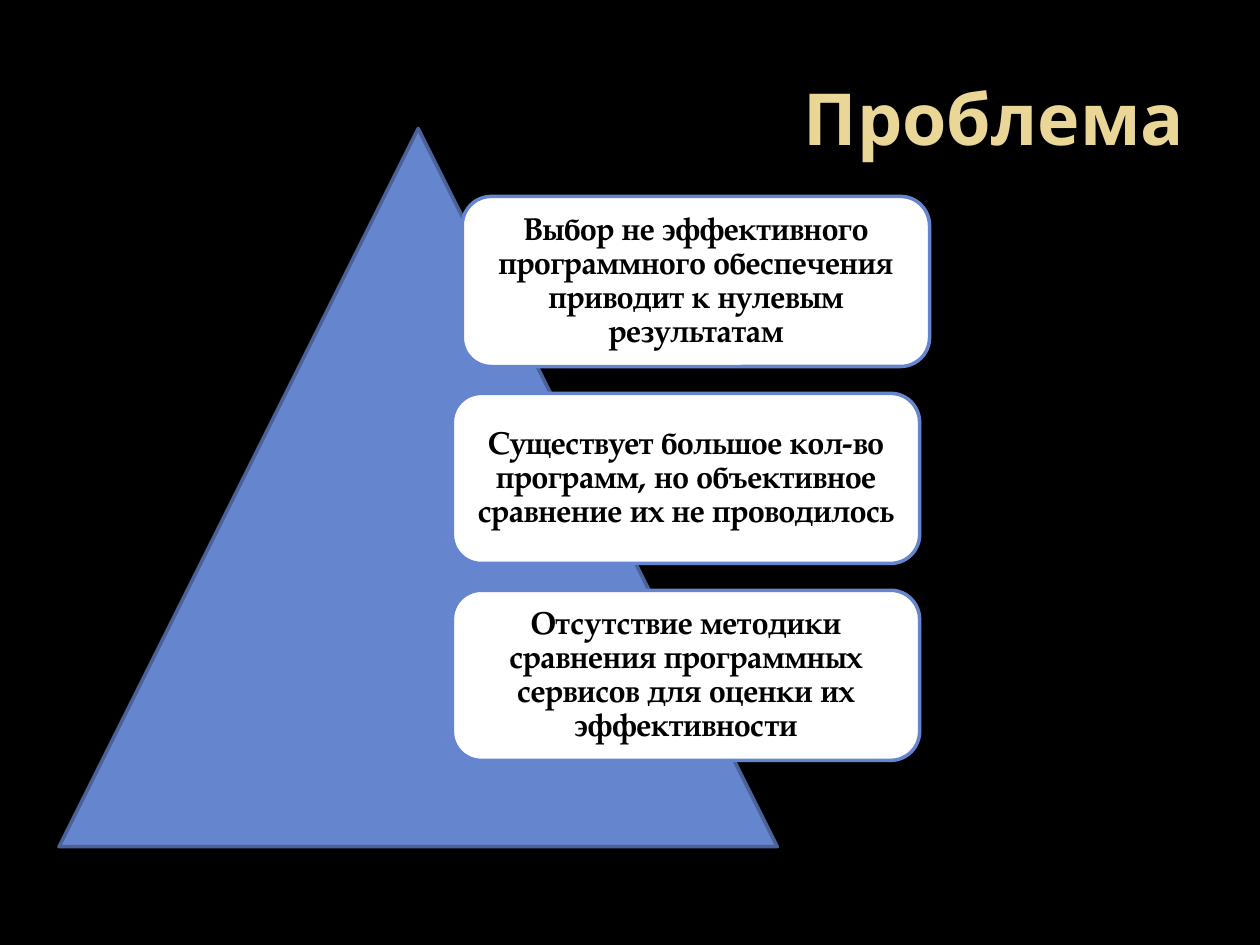
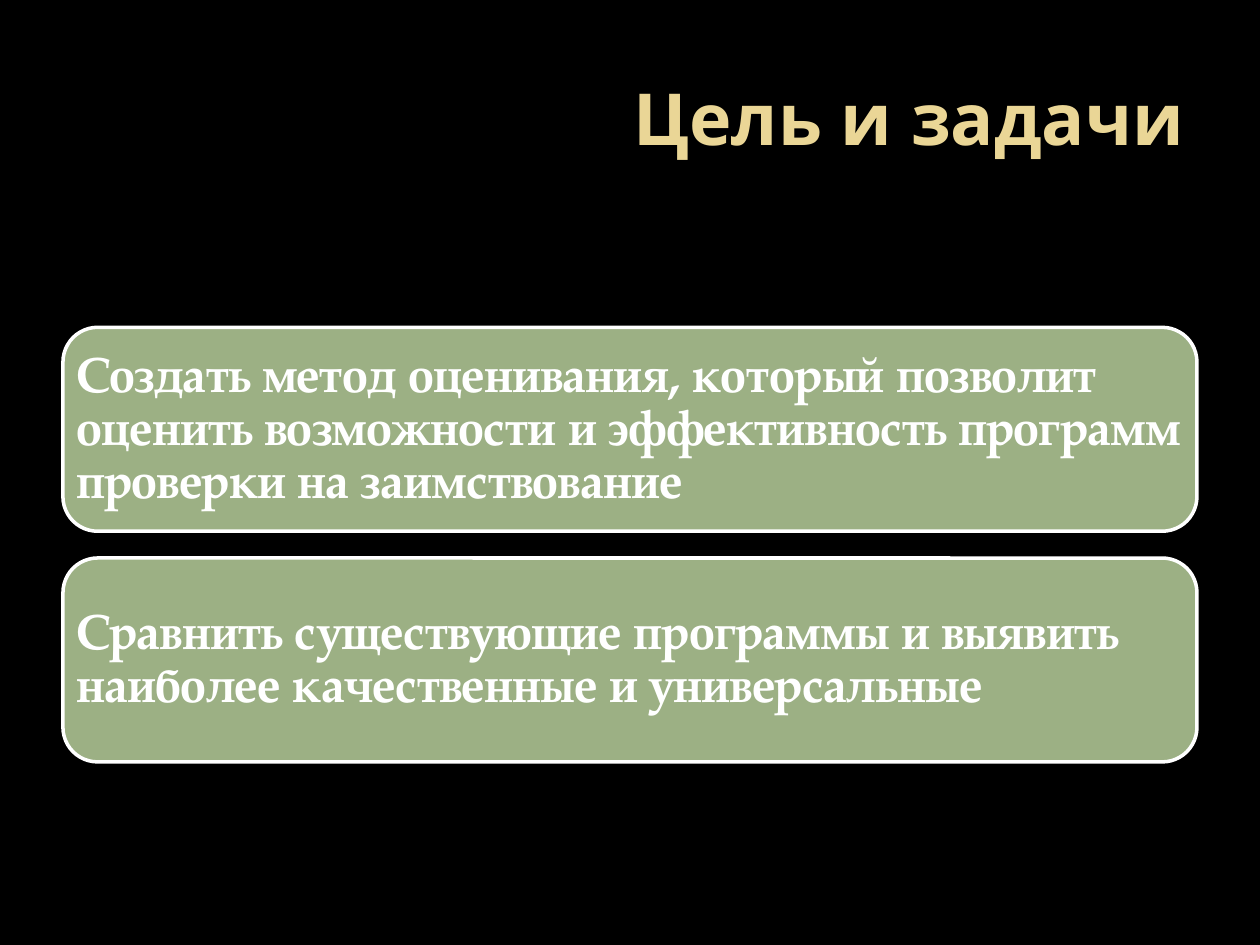
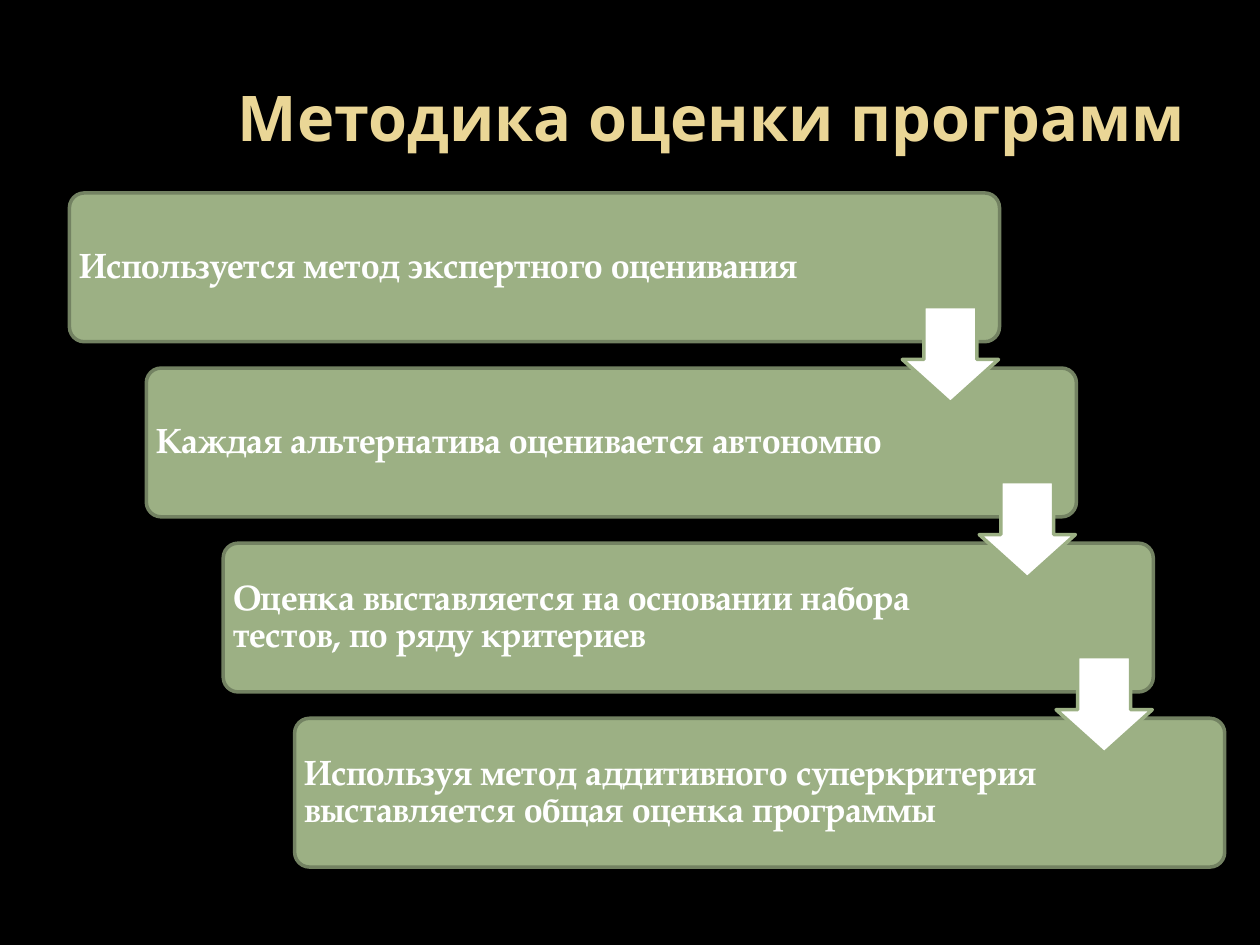
from pptx import Presentation
from pptx.dml.color import RGBColor
from pptx.enum.shapes import MSO_SHAPE
from pptx.enum.text import MSO_ANCHOR, PP_ALIGN
from pptx.util import Cm, Pt

COLORS = {
    "background": "000000",
    "title": "EAD696",
    "blue": "6585CF",
    "blue_edge": "4B6299",
    "green": "9CB084",
    "green_edge": "738262",
    "white": "FFFFFF",
    "black": "000000",
}
TITLE_FONT = "Noto Sans"
BODY_FONT = "TeX Gyre Pagella"
CORNER_INSET = 0.29


def rgb(name):
    return RGBColor.from_string(COLORS[name])


class Deck:
    def __init__(self):
        self.presentation = Presentation()
        self.presentation.slide_width = Cm(25.4)
        self.presentation.slide_height = Cm(19.05)
        self.slide = None

    def new_slide(self, title, size=41):
        self.slide = self.presentation.slides.add_slide(self.presentation.slide_layouts[6])
        background = self.slide.background.fill
        background.solid()
        background.fore_color.rgb = rgb("background")
        heading = self.slide.shapes.add_textbox(Cm(1.27), Cm(0.76), Cm(22.86), Cm(3.18))
        self.add_text(heading.text_frame, title, TITLE_FONT, size, "title", PP_ALIGN.RIGHT)

    def add_text(self, frame, text, font, size, color, align):
        frame.word_wrap = True
        frame.vertical_anchor = MSO_ANCHOR.MIDDLE
        paragraph = frame.paragraphs[0]
        paragraph.alignment = align
        run = paragraph.add_run()
        run.text = text
        run.font.name = font
        run.font.size = Pt(size)
        run.font.bold = True
        run.font.color.rgb = rgb(color)
        return paragraph

    def figure(self, kind, left, top, width, height, fill, edge, adjustments=()):
        figure = self.slide.shapes.add_shape(kind, Cm(left), Cm(top), Cm(width), Cm(height))
        figure.shadow.inherit = False
        figure.fill.solid()
        figure.fill.fore_color.rgb = rgb(fill)
        figure.line.color.rgb = rgb(edge)
        figure.line.width = Pt(2)
        for index, value in enumerate(adjustments):
            figure.adjustments[index] = value
        return figure

    def card(self, text, left, top, width, height, fill, edge, size, color, inset,
             align=PP_ALIGN.LEFT, corner=0.17, reserve=0):
        card = self.figure(MSO_SHAPE.ROUNDED_RECTANGLE, left, top, width, height,
                           fill, edge, [corner])
        frame = card.text_frame
        margin = max(inset - CORNER_INSET * corner * height, 0)
        frame.margin_left = frame.margin_top = frame.margin_bottom = Cm(margin)
        frame.margin_right = Cm(margin + reserve)
        self.add_text(frame, text, BODY_FONT, size, color, align).line_spacing = 0.9

    def save(self):
        self.presentation.save("out.pptx")


def problem(deck):
    deck.new_slide("Проблема")
    deck.figure(MSO_SHAPE.ISOSCELES_TRIANGLE, 1.19, 2.59, 14.48, 14.48, "blue", "blue_edge")
    issues = [
        (9.32, "Выбор не эффективного программного обеспечения приводит к нулевым результатам"),
        (9.12, "Существует большое кол-во программ, но объективное сравнение их не проводилось"),
        (9.12, "Отсутствие методики сравнения программных сервисов для оценки их эффективности"),
    ]
    for row, (left, issue) in enumerate(issues):
        deck.card(issue, left, 3.96 + 3.97 * row, 9.42, 3.43, "white", "blue",
                  18, "black", 0.18, align=PP_ALIGN.CENTER)


def goals(deck):
    deck.new_slide("Цель и задачи")
    tasks = [
        "Создать метод оценивания, который позволит оценить возможности и "
        "эффективность программ проверки на заимствование",
        "Сравнить существующие программы и выявить наиболее качественные и универсальные",
    ]
    for row, task in enumerate(tasks):
        deck.card(task, 1.27, 6.6 + 4.65 * row, 22.86, 4.11, "green", "white",
                  28, "white", 0.27)


def method(deck):
    deck.new_slide("Методика оценки программ", 36)
    steps = [
        (1.4, "Используется метод экспертного оценивания"),
        (2.95, "Каждая альтернатива оценивается автономно"),
        (4.5, "Оценка выставляется на основании набора тестов, по ряду критериев"),
        (5.94, "Используя метод аддитивного суперкритерия выставляется общая оценка программы"),
    ]
    first_top, pitch = 3.89, 3.53
    for row, (left, step) in enumerate(steps):
        deck.card(step, left, first_top + pitch * row, 18.75, 3, "green", "green_edge",
                  20, "white", 0.2, corner=0.1, reserve=3.5)
    for row, (left, _) in enumerate(steps[:-1]):
        deck.figure(MSO_SHAPE.DOWN_ARROW, left + 16.79, first_top + 2.29 + pitch * row,
                    1.94, 1.94, "white", "green", [0.55, 0.45])


def main():
    deck = Deck()
    problem(deck)
    goals(deck)
    method(deck)
    deck.save()


if __name__ == "__main__":
    main()
